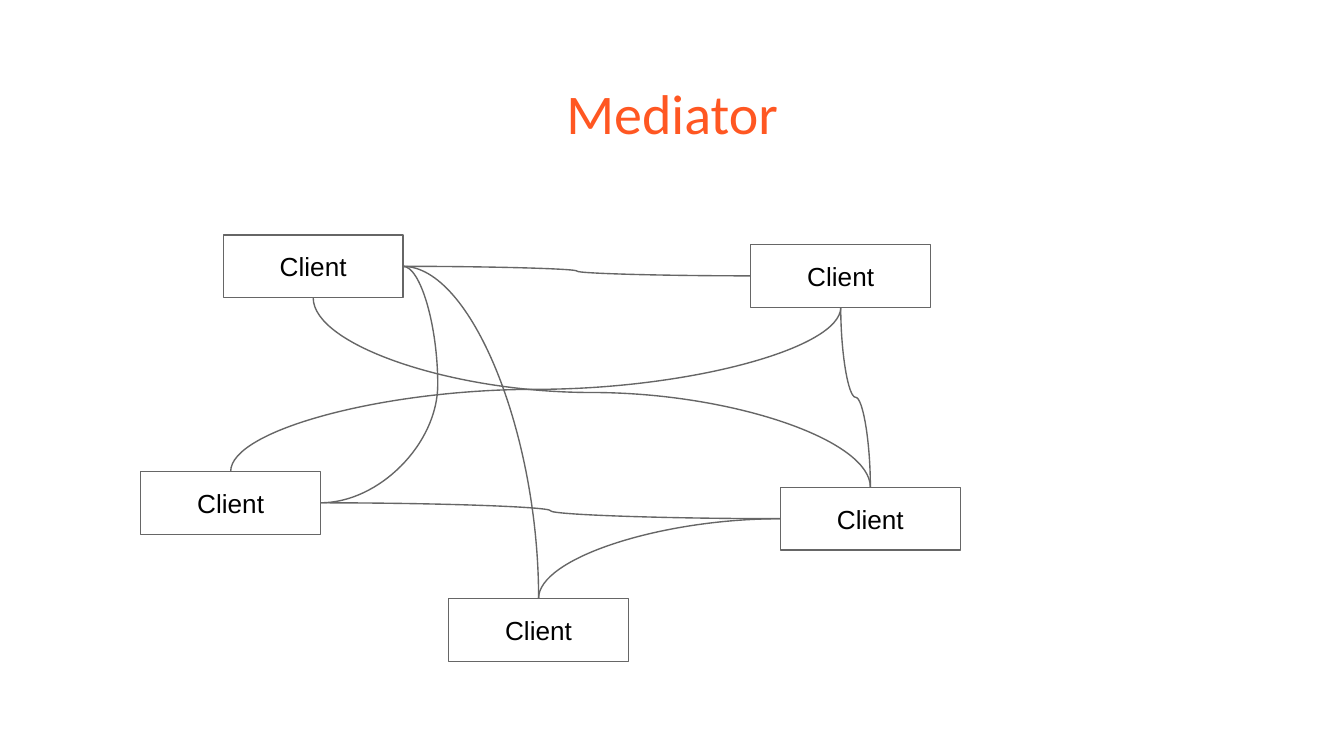
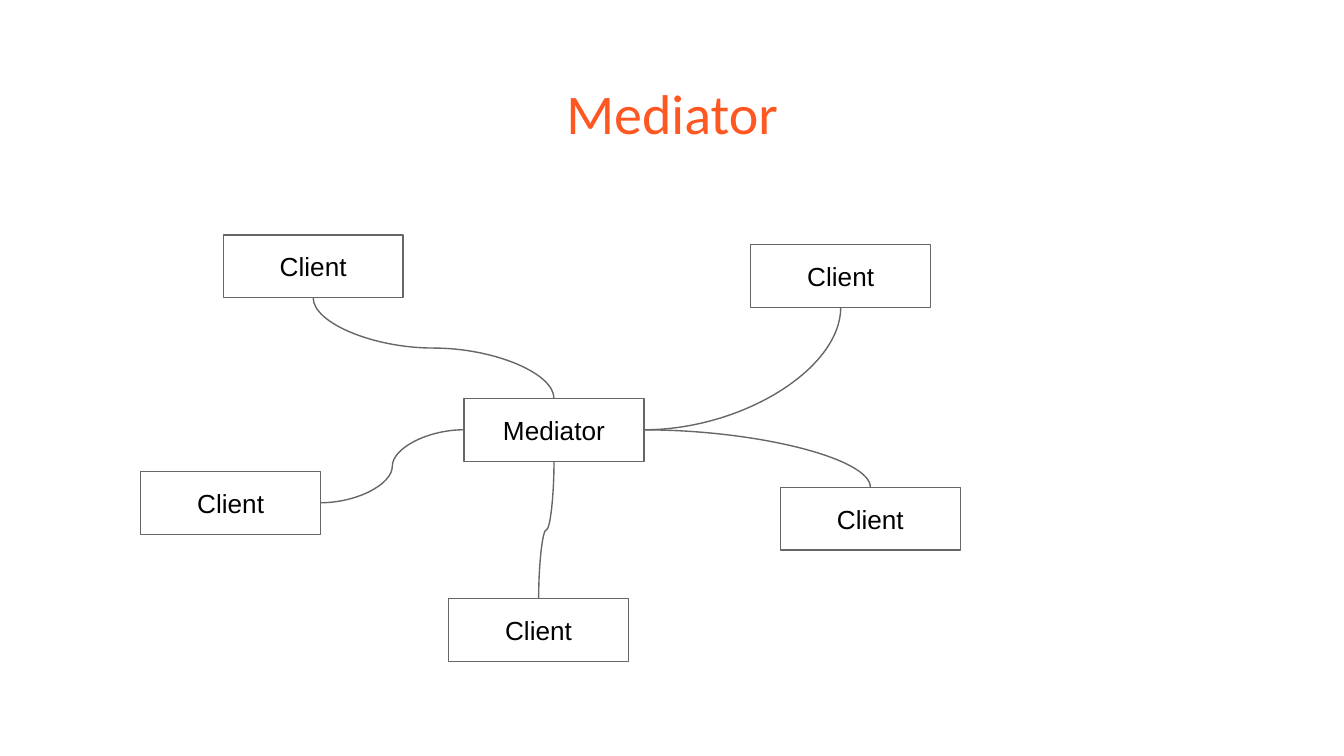
import pptx
import pptx.dml.color
import pptx.enum.shapes
import pptx.enum.text
import pptx.oxml.ns
import pptx.util
from lxml import etree

Cm, Pt = pptx.util.Cm, pptx.util.Pt
qn = pptx.oxml.ns.qn

ORANGE = pptx.dml.color.RGBColor(0xFF, 0x57, 0x22)
GREY = pptx.dml.color.RGBColor(0x66, 0x66, 0x66)
BLACK = pptx.dml.color.RGBColor(0x00, 0x00, 0x00)

TOP, LEFT, BOTTOM, RIGHT = range(4)
BOX_WIDTH, BOX_HEIGHT = Cm(3.4), Cm(1.19)
LINE_WIDTH = Pt(0.75)
INSET = Cm(0.25)

CLIENTS = {
    "upper left": (4.22, 4.44),
    "lower left": (2.66, 8.91),
    "bottom": (8.48, 11.31),
    "lower right": (14.75, 9.21),
    "upper right": (14.19, 4.62),
}
MEDIATOR = (8.77, 7.53)

# start box, side, end box, side, bend as a share of the width (None: halfway)
DIRECT_LINKS = [
    ("upper left", RIGHT, "bottom", TOP, None),
    ("upper left", RIGHT, "upper right", LEFT, None),
    ("upper left", RIGHT, "lower left", RIGHT, -0.42),
    ("upper right", BOTTOM, "lower left", TOP, None),
    ("upper right", BOTTOM, "lower right", TOP, None),
    ("lower right", LEFT, "bottom", TOP, None),
    ("lower left", RIGHT, "lower right", LEFT, None),
    ("upper left", BOTTOM, "lower right", TOP, None),
]
MEDIATED_LINKS = [
    ("upper left", BOTTOM, "mediator", TOP, None),
    ("lower left", RIGHT, "mediator", LEFT, None),
    ("mediator", BOTTOM, "bottom", TOP, None),
    ("mediator", RIGHT, "lower right", TOP, None),
    ("mediator", RIGHT, "upper right", BOTTOM, None),
]


def write_text(shape, text, font, size, color, anchor):
    frame = shape.text_frame
    frame.text = text
    frame.word_wrap = True
    frame.vertical_anchor = anchor
    frame.margin_left = frame.margin_right = INSET
    frame.margin_top = frame.margin_bottom = INSET
    para = frame.paragraphs[0]
    para.alignment = pptx.enum.text.PP_ALIGN.CENTER
    span = para.runs[0]
    span.font.name = font
    span.font.size = Pt(size)
    span.font.color.rgb = color


def add_title(page, text):
    box = page.shapes.add_textbox(Cm(0.87), Cm(1.24), Cm(23.67), Cm(1.6))
    write_text(box, text, "Calibri", 30, ORANGE, pptx.enum.text.MSO_ANCHOR.TOP)


def add_box(page, text, position):
    left, top = position
    box = page.shapes.add_shape(pptx.enum.shapes.MSO_SHAPE.RECTANGLE,
                                Cm(left), Cm(top), BOX_WIDTH, BOX_HEIGHT)
    box.shadow.inherit = False
    box.fill.background()
    box.line.color.rgb = GREY
    box.line.width = LINE_WIDTH
    write_text(box, text, "Arial", 14, BLACK, pptx.enum.text.MSO_ANCHOR.MIDDLE)
    return box


def side_middle(box, side):
    across = {LEFT: 0, RIGHT: box.width}.get(side, box.width // 2)
    down = {TOP: 0, BOTTOM: box.height}.get(side, box.height // 2)
    return box.left + across, box.top + down


def turn_downwards(curve):
    """Rotate a curve so that it leaves its start straight down."""
    goes_right = curve.end_x > curve.begin_x
    left, top, width, height = curve.left, curve.top, curve.width, curve.height
    curve.left = left + (width - height) // 2
    curve.top = top + (height - width) // 2
    curve.width, curve.height = height, width
    frame = curve.element.spPr.find(qn("a:xfrm"))
    frame.set("rot", str(90 * 60000))
    frame.set("flipH", "0")
    frame.set("flipV", "1" if goes_right else "0")


def add_curve(page, start, start_side, end, end_side, bend):
    """Join two boxes; a curve from a bottom side must end on a top side."""
    curve = page.shapes.add_connector(
        pptx.enum.shapes.MSO_CONNECTOR.CURVE,
        *side_middle(start, start_side), *side_middle(end, end_side))
    curve.begin_connect(start, start_side)
    curve.end_connect(end, end_side)
    curve.line.color.rgb = GREY
    curve.line.width = LINE_WIDTH
    properties = curve.element.spPr
    etree.SubElement(properties, qn("a:effectLst"))
    geometry = properties.find(qn("a:prstGeom"))
    if start_side == BOTTOM:
        turn_downwards(curve)
    elif end_side in (TOP, BOTTOM):
        geometry.set("prst", "curvedConnector2")
    if bend is not None:
        guide = etree.SubElement(geometry.find(qn("a:avLst")), qn("a:gd"))
        guide.set("name", "adj1")
        guide.set("fmla", f"val {round(bend * 100000)}")


def add_diagram(deck, links, with_mediator):
    page = deck.slides.add_slide(deck.slide_layouts[6])
    add_title(page, "Mediator")
    boxes = {name: add_box(page, "Client", position)
             for name, position in CLIENTS.items()}
    if with_mediator:
        boxes["mediator"] = add_box(page, "Mediator", MEDIATOR)
    for start, start_side, end, end_side, bend in links:
        add_curve(page, boxes[start], start_side, boxes[end], end_side, bend)


def main():
    deck = pptx.Presentation()
    deck.slide_width, deck.slide_height = Cm(25.4), Cm(14.29)
    add_diagram(deck, DIRECT_LINKS, with_mediator=False)
    add_diagram(deck, MEDIATED_LINKS, with_mediator=True)
    deck.save("out.pptx")


if __name__ == "__main__":
    main()
